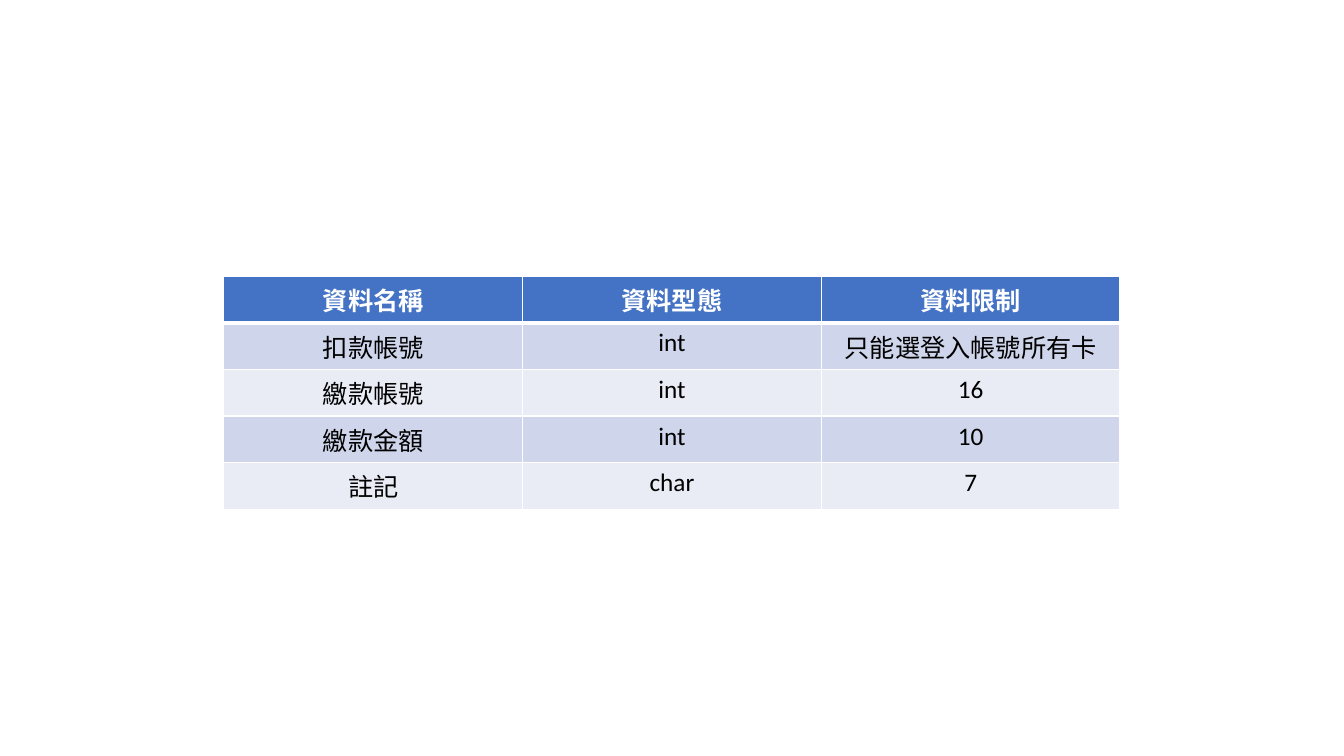
from lxml import etree
from pptx import Presentation
from pptx import util as u
from pptx.dml.color import RGBColor
from pptx.enum import text
from pptx.oxml import ns

WHITE = RGBColor(0xFF, 0xFF, 0xFF)
BLACK = RGBColor(0, 0, 0)
BLUE = RGBColor(0x44, 0x72, 0xC4)
DARK = RGBColor(0xCF, 0xD5, 0xEA)
LIGHT = RGBColor(0xE9, 0xEB, 0xF5)

FIELDS = [
    ("資料名稱", "資料型態", "資料限制"),
    ("扣款帳號", "int", "只能選登入帳號所有卡"),
    ("繳款帳號", "int", "16"),
    ("繳款金額", "int", "10"),
    ("註記", "char", "7"),
]


def add_edge(cell, side, width):
    """Draw one white border of a cell."""
    props = cell._tc.get_or_add_tcPr()
    line = etree.SubElement(props, ns.qn("a:ln" + side), w=str(u.Pt(width)))
    fill = etree.SubElement(line, ns.qn("a:solidFill"))
    etree.SubElement(fill, ns.qn("a:srgbClr"), val=str(WHITE))


def fill_cell(cell, words, row):
    """Write and style one cell; row 0 is the header."""
    head = row == 0
    # Borders, thick between header and body
    thick = {0: "B", 1: "T"}.get(row)
    for side in "LRTB":
        add_edge(cell, side, 3 if side == thick else 1)

    # Banded fill
    cell.fill.solid()
    cell.fill.fore_color.rgb = BLUE if head else DARK if row % 2 else LIGHT

    # Text
    cell.text = words
    para = cell.text_frame.paragraphs[0]
    para.alignment = text.PP_ALIGN.CENTER
    para.font.name = "Calibri"
    para.font.size = u.Pt(18)
    para.font.bold = head
    para.font.color.rgb = WHITE if head else BLACK


def add_grid(slide, rows, left, top, width, height):
    """Add a table with equal rows and columns."""
    frame = slide.shapes.add_table(
        len(rows), len(rows[0]), left, top, width, height)
    for r, row in enumerate(rows):
        for c, words in enumerate(row):
            fill_cell(frame.table.cell(r, c), words, r)


def main():
    deck = Presentation()
    deck.slide_width = u.Inches(13.33)
    deck.slide_height = u.Inches(7.5)
    slide = deck.slides.add_slide(deck.slide_layouts[6])

    # Table of payment fields
    add_grid(slide, FIELDS, u.Inches(2.22), u.Inches(2.74),
             u.Inches(8.89), u.Inches(2.03))
    deck.save("out.pptx")


main()
